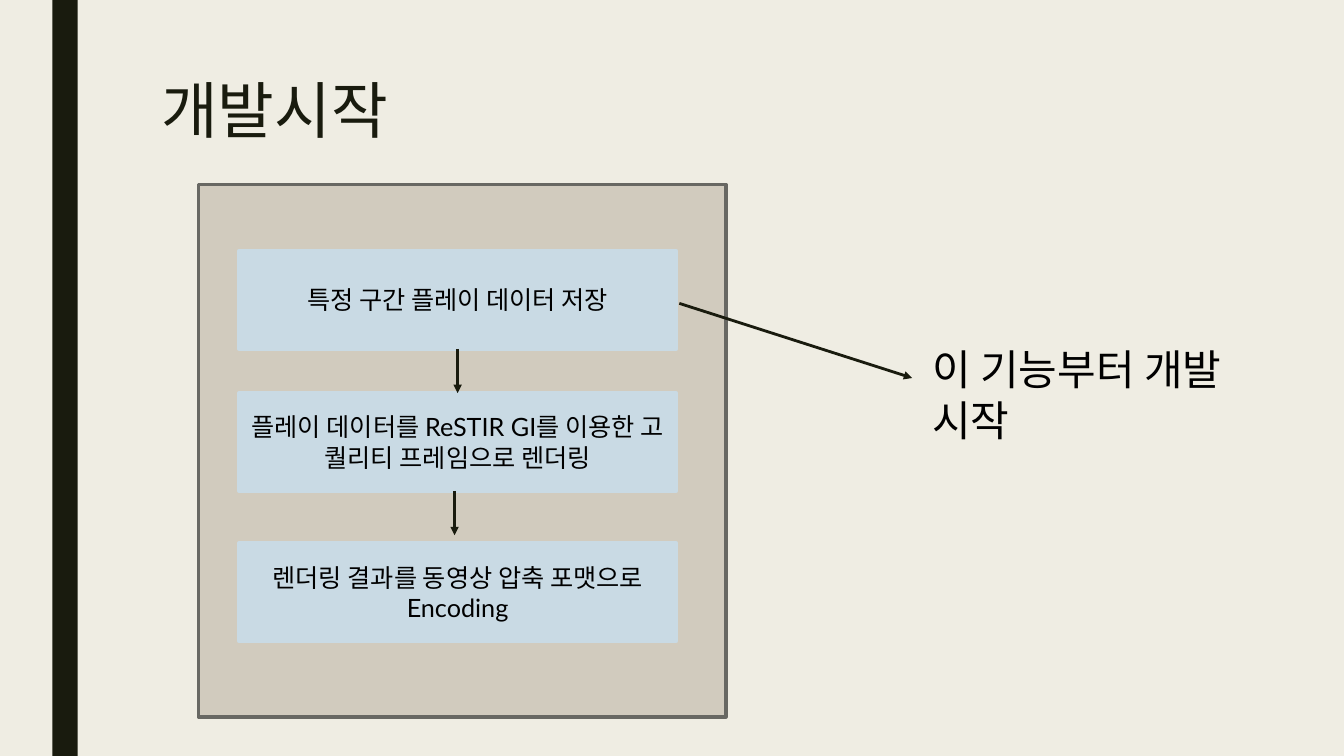
import pptx
import pptx.util
import pptx.dml.color
import pptx.enum.shapes
import pptx.enum.text
import pptx.oxml
import pptx.oxml.ns

Pt = pptx.util.Pt
SHAPE = pptx.enum.shapes.MSO_SHAPE
ALIGN = pptx.enum.text.PP_ALIGN
ANCHOR = pptx.enum.text.MSO_ANCHOR

FONT = "Lato"
COLORS = {
    "back": "EFEDE3",
    "dark": "191B0E",
    "panel": "D1CBBE",
    "edge": "686863",
    "step": "C9DAE4",
    "text": "000000",
}
TITLE = "개발시작"
NOTE = "이 기능부터 개발 시작"
STEPS = [  # top, text
    (179.28, "특정 구간 플레이 데이터 저장"),
    (280.8, "플레이 데이터를 ReSTIR GI를 이용한 고 퀄리티 프레임으로 렌더링"),
    (388.08, "렌더링 결과를 동영상 압축 포맷으로 Encoding"),
]
STEP_LEFT, STEP_WIDTH, STEP_HEIGHT = 170.64, 312.48, 69.84
STEP_MID = STEP_LEFT + STEP_WIDTH / 2
ARROWS = [  # x1, y1, x2, y2
    (STEP_MID, STEPS[0][0] + STEP_HEIGHT, STEP_MID, STEPS[1][0]),
    (324.72, STEPS[1][0] + STEP_HEIGHT, 324.72, 382.32),
    (485.28, 216.72, 651.6, 270),
]


def color(name):
    return pptx.dml.color.RGBColor.from_string(COLORS[name])


def add_rect(slide, box, fill, edge=None):
    rect = slide.shapes.add_shape(SHAPE.RECTANGLE, *map(Pt, box))
    rect.shadow.inherit = False
    rect.fill.solid()
    rect.fill.fore_color.rgb = color(fill)
    if edge:
        rect.line.color.rgb = color(edge)
        rect.line.width = Pt(2.75)
    else:
        rect.line.fill.background()
    return rect


def write(shape, text, size, ink="text", align=ALIGN.LEFT, anchor=ANCHOR.TOP):
    frame = shape.text_frame
    frame.word_wrap = True
    frame.vertical_anchor = anchor
    para = frame.paragraphs[0]
    para.text = text
    para.alignment = align
    para.font.name = FONT
    para.font.size = Pt(size)
    para.font.color.rgb = color(ink)
    return para


def add_arrow(slide, ends):
    arrow = slide.shapes.add_connector(
        pptx.enum.shapes.MSO_CONNECTOR.STRAIGHT, *map(Pt, ends))
    arrow.line.color.rgb = color("dark")
    arrow.line.width = Pt(2)
    tag = pptx.oxml.ns.qn
    head = arrow.line._get_or_add_ln().makeelement(
        tag("a:tailEnd"), {"type": "triangle"})
    arrow.line._get_or_add_ln().append(head)
    props = arrow._element.spPr
    props.append(props.makeelement(tag("a:effectLst"), {}))
    return arrow


def main():
    deck = pptx.Presentation()
    deck.slide_width, deck.slide_height = Pt(960), Pt(540)
    slide = deck.slides.add_slide(deck.slide_layouts[6])
    slide.background.fill.solid()
    slide.background.fill.fore_color.rgb = color("back")

    add_rect(slide, (37.44, 0, 18, 540), "dark")
    add_rect(slide, (141.84, 131.76, 376.56, 380.16), "panel", "edge")

    title = slide.shapes.add_textbox(Pt(108), Pt(54), Pt(756), Pt(106.56))
    write(title, TITLE, 44, "dark").line_spacing = 0.89

    steps = []
    for top, text in STEPS:
        box = (STEP_LEFT, top, STEP_WIDTH, STEP_HEIGHT)
        step = add_rect(slide, box, "step", "step")
        write(step, text, 18, align=ALIGN.CENTER, anchor=ANCHOR.MIDDLE)
        steps.append(step)

    arrows = [add_arrow(slide, ends) for ends in ARROWS]
    arrows[0].begin_connect(steps[0], 2)
    arrows[0].end_connect(steps[1], 0)

    note = slide.shapes.add_textbox(Pt(658.8), Pt(241.92), Pt(228.24), Pt(79.92))
    write(note, NOTE, 30)

    deck.save("out.pptx")


if __name__ == "__main__":
    main()
